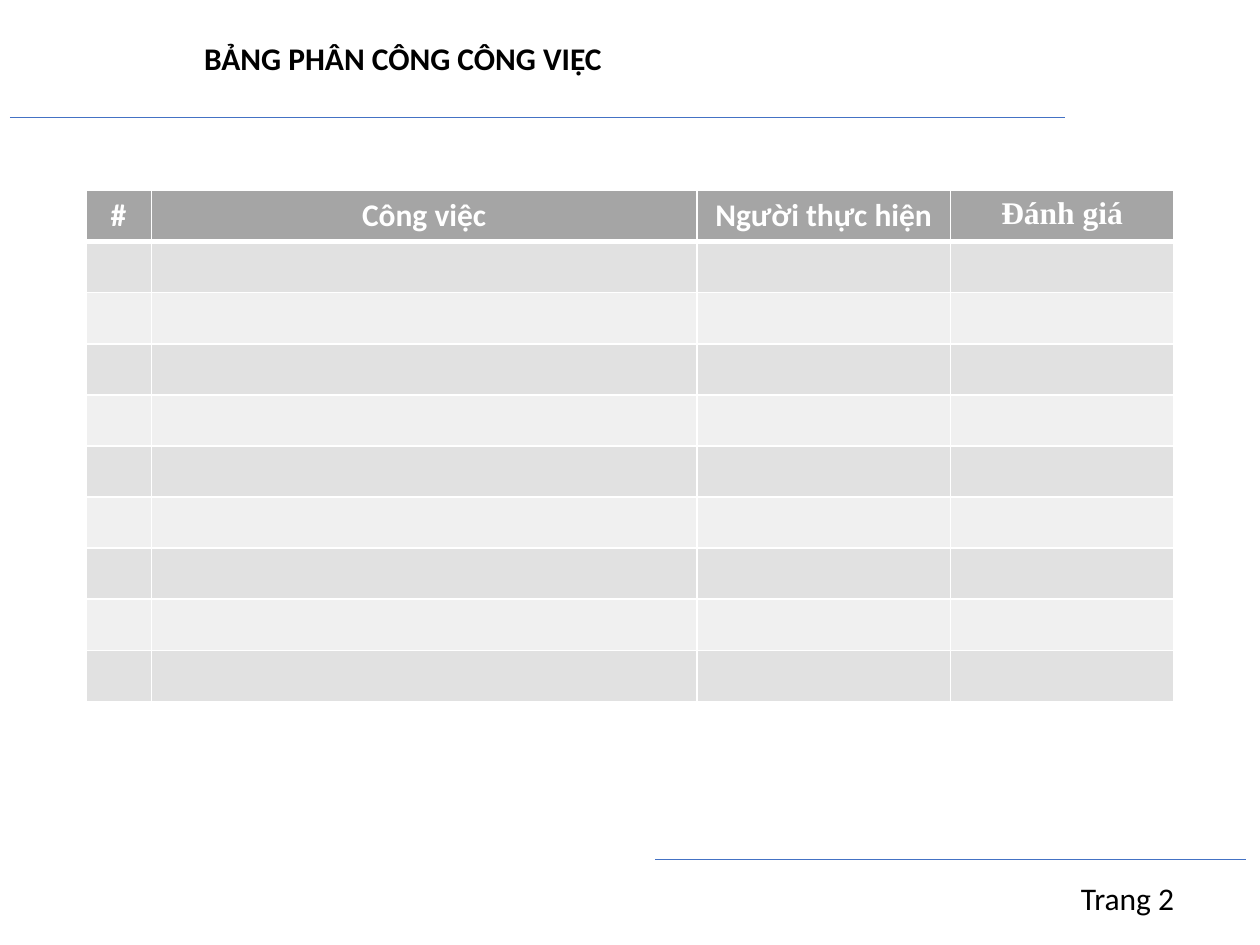
from pptx import Presentation
from pptx.dml.color import RGBColor
from pptx.enum.shapes import MSO_CONNECTOR
from pptx.enum.text import MSO_ANCHOR, MSO_AUTO_SIZE, PP_ALIGN
from pptx.oxml.ns import qn
from pptx.util import Cm, Pt
from lxml.etree import SubElement

COLORS = {
    "text": "000000",
    "rule": "4472C4",
    "header": "A5A5A5",
    "odd": "E1E1E1",
    "even": "F0F0F0",
    "white": "FFFFFF",
}
BODY_FONT = "Calibri"

HEADING = ("BẢNG PHÂN CÔNG CÔNG VIỆC", (3.86, 0.66, 17.68, 1.02))
PAGE_LABEL = ("Trang 2", (21.54, 17.6, 3.58, 1.02))
RULES = [(0.2, 21.46, 2.36), (13.21, 25.12, 17.32)]
COLUMNS = [
    ("#", 1.32, BODY_FONT),
    ("Công việc", 11.0, BODY_FONT),
    ("Người thực hiện", 5.11, BODY_FONT),
    ("Đánh giá", 4.5, "Times New Roman"),
]
TABLE_LEFT, TABLE_TOP = 1.73, 3.84
TASK_ROWS = 9
ROW_HEIGHT = 1.03


def color(key):
    return RGBColor.from_string(COLORS[key])


def add_run(paragraph, text, color_key="text", font=BODY_FONT, bold=False):
    run = paragraph.add_run()
    run.text = text
    run.font.name = font
    run.font.size = Pt(18)
    run.font.bold = bold
    run.font.color.rgb = color(color_key)


def write_label(shape, text, box, bold=False):
    shape.left, shape.top, shape.width, shape.height = map(Cm, box)
    frame = shape.text_frame
    frame.word_wrap = True
    frame.auto_size = MSO_AUTO_SIZE.SHAPE_TO_FIT_TEXT
    frame.vertical_anchor = MSO_ANCHOR.TOP
    paragraph = frame.paragraphs[0]
    paragraph.alignment = PP_ALIGN.LEFT
    add_run(paragraph, text, bold=bold)


def add_rule(slide, start, end, height):
    rule = slide.shapes.add_connector(
        MSO_CONNECTOR.STRAIGHT, Cm(start), Cm(height), Cm(end), Cm(height))
    rule.line.color.rgb = color("rule")
    rule.line.width = Pt(0.5)
    SubElement(rule._element.spPr, qn("a:effectLst"))


def style_cell(cell, fill_key, top, bottom):
    properties = cell._tc.get_or_add_tcPr()
    for side, width in (("L", 1), ("R", 1), ("T", top), ("B", bottom)):
        border = SubElement(properties, qn(f"a:ln{side}"), w=str(Pt(width)))
        fill = SubElement(border, qn("a:solidFill"))
        SubElement(fill, qn("a:srgbClr"), val=COLORS["white"])
    cell.fill.solid()
    cell.fill.fore_color.rgb = color(fill_key)


def add_task_table(slide):
    row_count = TASK_ROWS + 1
    total_width = sum(width for _, width, _ in COLUMNS)
    tasks = slide.shapes.add_table(
        row_count, len(COLUMNS), Cm(TABLE_LEFT), Cm(TABLE_TOP),
        Cm(total_width), Cm(ROW_HEIGHT * row_count)).table
    for row_index, row in enumerate(tasks.rows):
        row.height = Cm(ROW_HEIGHT)
        fill_key = "header" if row_index == 0 else ("even", "odd")[row_index % 2]
        for cell in row.cells:
            style_cell(cell, fill_key, 3 if row_index == 1 else 1,
                       3 if row_index == 0 else 1)
    for column_index, (header, width, font) in enumerate(COLUMNS):
        tasks.columns[column_index].width = Cm(width)
        paragraph = tasks.cell(0, column_index).text_frame.paragraphs[0]
        paragraph.alignment = PP_ALIGN.CENTER
        add_run(paragraph, header, "white", font, bold=True)


def main():
    presentation = Presentation()
    presentation.slide_width, presentation.slide_height = Cm(25.4), Cm(19.05)
    slide = presentation.slides.add_slide(presentation.slide_layouts[5])
    top_rule, bottom_rule = RULES
    add_rule(slide, *top_rule)
    write_label(slide.shapes.title, *HEADING, bold=True)
    add_task_table(slide)
    add_rule(slide, *bottom_rule)
    page_text, page_box = PAGE_LABEL
    page_label = slide.shapes.add_textbox(*map(Cm, page_box))
    write_label(page_label, page_text, page_box)
    presentation.save("out.pptx")


if __name__ == "__main__":
    main()
